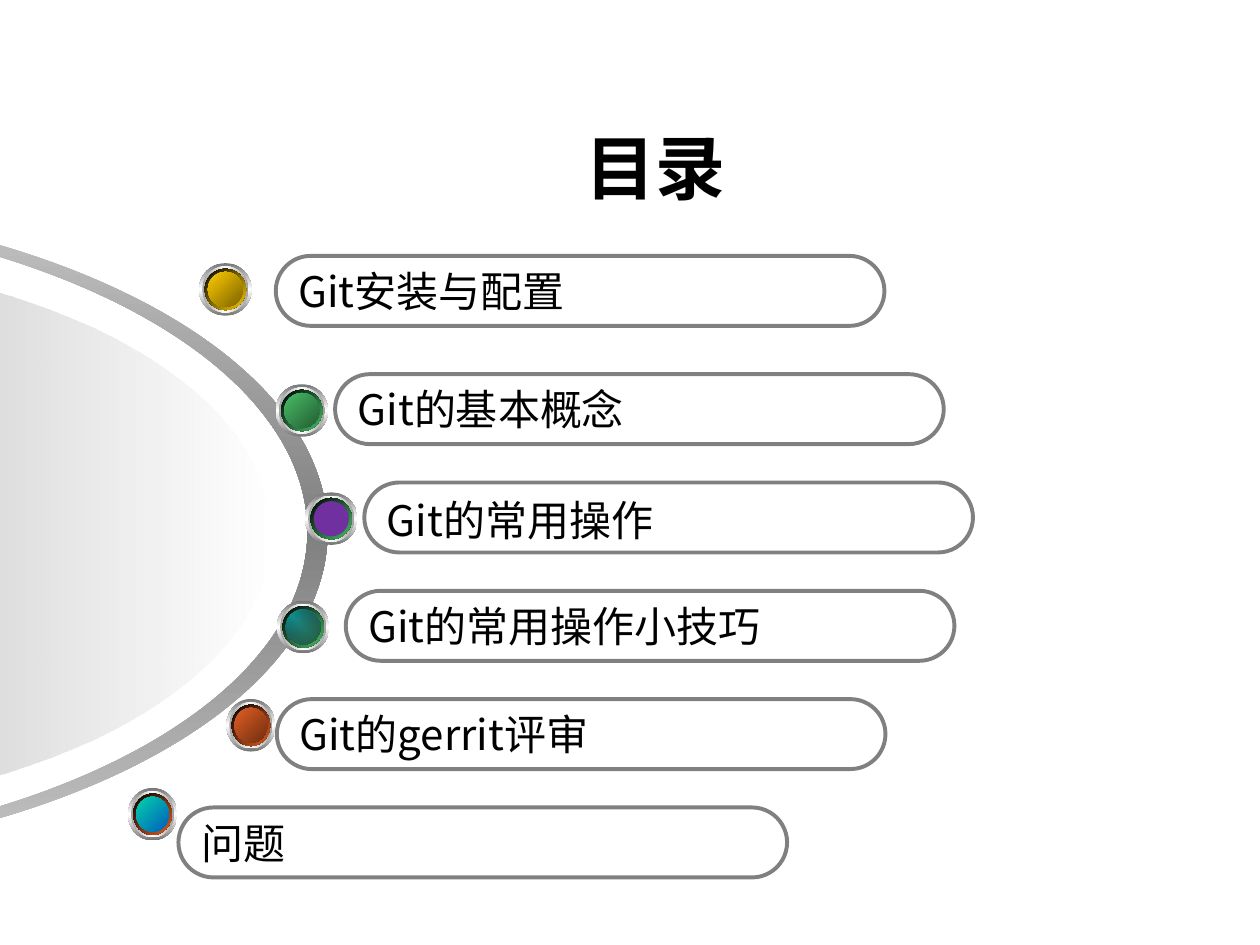
"""Build an agenda slide: six labelled capsules beside a curved arc."""

from dataclasses import dataclass
from typing import NamedTuple

from lxml.etree import SubElement
from pptx import Presentation
from pptx.dml.color import RGBColor
from pptx.enum.shapes import MSO_SHAPE as Preset
from pptx.enum.text import MSO_ANCHOR as Anchor, PP_ALIGN as Align
from pptx.oxml.ns import qn
from pptx.shapes.autoshape import Shape
from pptx.slide import Slide
from pptx.text.text import TextFrame
from pptx.util import Pt


class Point(NamedTuple):
    x: float
    y: float


class Stop(NamedTuple):
    position: int
    color: str
    opacity: int = 100


class Gradient(NamedTuple):
    angle: int
    stops: tuple[Stop, ...]


class Layer(NamedTuple):
    scale: float
    fill: Gradient | str


@dataclass(frozen=True)
class Theme:
    text: str = "000000"
    outline: str = "808080"
    white: str = "FFFFFF"
    arc_end: str = "C5C5C5"
    rim: str = "767676"
    bevel: str = "A2A2A2"
    teal: str = "009999"
    deep_teal: str = "005353"
    title_font: str = "Arial"
    body_font: str = "Noto Sans CJK SC"
    title_size: float = 40
    body_size: float = 24
    outline_width: float = 2.25


@dataclass(frozen=True)
class AgendaItem:
    label: str
    pill: Point
    ball: Point
    ball_width: float
    glow: str
    face: Gradient | str
    line_spacing: float | None = None


THEME = Theme()
PILL_WIDTH, PILL_HEIGHT = 347.8, 40
BALL_HEIGHT = 30
WIDE_BALL, NARROW_BALL = 30, 28
SECOND_PILL_TOP, PILL_PITCH = 213.8, 61.9


def pill_at(left: float, row: int) -> Point:
    """Place a capsule on the even rows that start at the second item."""
    return Point(left, SECOND_PILL_TOP + row * PILL_PITCH)


def fade(start: str, end: str, opacity: int = 100) -> Gradient:
    """Return a diagonal gradient, its first stop with the given opacity."""
    return Gradient(45, (Stop(0, start, opacity), Stop(100, end)))


def mirrored(edge: str, middle: str, angle: int) -> Gradient:
    """Return a gradient with the same colour at both ends."""
    return Gradient(angle, (Stop(0, edge), Stop(50, middle), Stop(100, edge)))


ITEMS = (
    AgendaItem("Git安装与配置", Point(157.6, 146.2), Point(113.8, 150.4),
               WIDE_BALL, "FFCC00", fade("FFCC00", "7C6300")),
    AgendaItem("Git的基本概念", pill_at(191.5, 0), Point(157.5, 219.6),
               WIDE_BALL, "48BE67", fade("48BE67", "235C32")),
    AgendaItem("Git的常用操作", pill_at(208.2, 1), Point(174.3, 281.4),
               WIDE_BALL, "48BE67", "7030A0", 1.1),
    AgendaItem("Git的常用操作小技巧", pill_at(197.6, 2), Point(158.3, 343.3),
               WIDE_BALL, "48BE67", fade("595959", "235C32", 0)),
    AgendaItem("Git的gerrit评审", pill_at(158.2, 3), Point(129.4, 399.5),
               NARROW_BALL, "E35E23", fade("E35E23", "6E2E11")),
    AgendaItem("问题", pill_at(102, 4), Point(73.2, 450.3),
               NARROW_BALL, "E35E23", fade("03D4A8", "005CBF")),
)


def paint(shape: Shape, fill: Gradient | str) -> None:
    """Fill a shape with a gradient or one colour, without outline or shadow."""
    shape.shadow.inherit = False
    shape.line.fill.background()
    if isinstance(fill, str):
        shape.fill.solid()
        shape.fill.fore_color.rgb = RGBColor.from_string(fill)
        return
    shape.fill.gradient()
    shape.fill.gradient_angle = (360 - fill.angle) % 360
    stop_list = shape.element.spPr.find(qn("a:gradFill")).find(qn("a:gsLst"))
    for default_stop in list(stop_list):
        stop_list.remove(default_stop)
    for stop in fill.stops:
        node = SubElement(stop_list, qn("a:gs"), pos=str(stop.position * 1000))
        color = SubElement(node, qn("a:srgbClr"), val=stop.color)
        if stop.opacity < 100:
            SubElement(color, qn("a:alpha"), val=str(stop.opacity * 1000))


def half_oval(left: float, bend: Point, tip: Point, reach: float,
              half_height: float) -> list[Point]:
    """Return the start and the control points of an oval's right half."""
    upper = [Point(left, tip.y - half_height), bend, Point(tip.x, tip.y - reach)]
    lower = [Point(point.x, 2 * tip.y - point.y) for point in reversed(upper)]
    return [*upper, tip, *lower]


def draw_curves(slide: Slide, outlines: list[list[Point]], fill: Gradient) -> None:
    """Draw a closed shape whose sides are pairs of cubic curves."""
    start, *rest = [(Pt(point.x), Pt(point.y)) for side in outlines for point in side]
    builder = slide.shapes.build_freeform(*start, scale=1.0)
    builder.add_line_segments(rest, close=True)
    shape = builder.convert_to_shape()
    lines = list(shape.element.iter(qn("a:lnTo")))
    for side in range(len(outlines)):
        for first in (side * 7, side * 7 + 3):
            curve = lines[first]
            curve.tag = qn("a:cubicBezTo")
            for line in lines[first + 1:first + 3]:
                curve.append(line[0])
                line.getparent().remove(line)
    paint(shape, fill)


def draw_arc(slide: Slide) -> None:
    """Draw the grey arc and the soft oval inside it."""
    outer = half_oval(-188.6, Point(20.2, 115.2), Point(187.2, 303.8), 103.7, 190)
    inner = half_oval(-188.6, Point(13.7, 121), Point(175.7, 303.8), 100.8, 184.3)
    draw_curves(slide, [outer, inner[::-1]], mirrored(THEME.arc_end, THEME.outline, 90))
    soft = Gradient(0, (Stop(0, THEME.outline, 56), Stop(100, THEME.white, 48)))
    oval = half_oval(-154.8, Point(15.8, 146.2), Point(154.8, 305), 87.8, 158.8)
    draw_curves(slide, [oval], soft)


def draw_ball(slide: Slide, item: AgendaItem) -> None:
    """Draw a glossy ball as a group of concentric ellipses."""
    layers = [
        Layer(1, mirrored(THEME.rim, THEME.white, 90)),
        Layer(0.88, mirrored(THEME.bevel, THEME.white, 0)),
        Layer(0.79, mirrored(THEME.white, THEME.teal, 45)),
        Layer(0.79, fade(THEME.text, item.glow)),
    ]
    if isinstance(item.face, Gradient):
        layers.append(Layer(0.67, mirrored(THEME.deep_teal, THEME.teal, 315)))
    layers.append(Layer(0.67, item.face))
    group = slide.shapes.add_group_shape()
    for scale, fill in layers:
        inset = (1 - scale) / 2
        ellipse = group.shapes.add_shape(
            Preset.OVAL,
            Pt(item.ball.x + inset * item.ball_width), Pt(item.ball.y + inset * BALL_HEIGHT),
            Pt(item.ball_width * scale), Pt(BALL_HEIGHT * scale))
        paint(ellipse, fill)


def write(frame: TextFrame, text: str, font_name: str, size: float,
          bold: bool, align: Align, line_spacing: float | None = None) -> None:
    """Write one vertically centred run."""
    frame.vertical_anchor = Anchor.MIDDLE
    paragraph = frame.paragraphs[0]
    paragraph.alignment = align
    paragraph.line_spacing = line_spacing
    run = paragraph.add_run()
    run.text = text
    run.font.name, run.font.size, run.font.bold = font_name, Pt(size), bold
    run.font.color.rgb = RGBColor.from_string(THEME.text)
    SubElement(run.font._element, qn("a:ea"), typeface=THEME.body_font)


def draw_pill(slide: Slide, item: AgendaItem) -> None:
    """Draw an outlined capsule with its label."""
    pill = slide.shapes.add_shape(Preset.ROUNDED_RECTANGLE, Pt(item.pill.x), Pt(item.pill.y),
                                  Pt(PILL_WIDTH), Pt(PILL_HEIGHT))
    pill.adjustments[0] = 0.5
    pill.shadow.inherit = False
    pill.fill.background()
    pill.line.color.rgb = RGBColor.from_string(THEME.outline)
    pill.line.width = Pt(THEME.outline_width)
    pill.text_frame.word_wrap = False
    write(pill.text_frame, item.label, THEME.body_font, THEME.body_size, False,
          Align.LEFT, item.line_spacing)


def main() -> None:
    """Assemble and save the slide."""
    presentation = Presentation()
    presentation.slide_width, presentation.slide_height = Pt(720), Pt(540)
    slide = presentation.slides.add_slide(presentation.slide_layouts[6])
    draw_arc(slide)
    for item in ITEMS:
        draw_ball(slide, item)
        draw_pill(slide, item)
    title = slide.shapes.add_textbox(Pt(50.4), Pt(69.5), Pt(648), Pt(51))
    title.text_frame.word_wrap = True
    write(title.text_frame, "目录", THEME.title_font, THEME.title_size, True, Align.CENTER)
    presentation.save("out.pptx")


if __name__ == "__main__":
    main()
